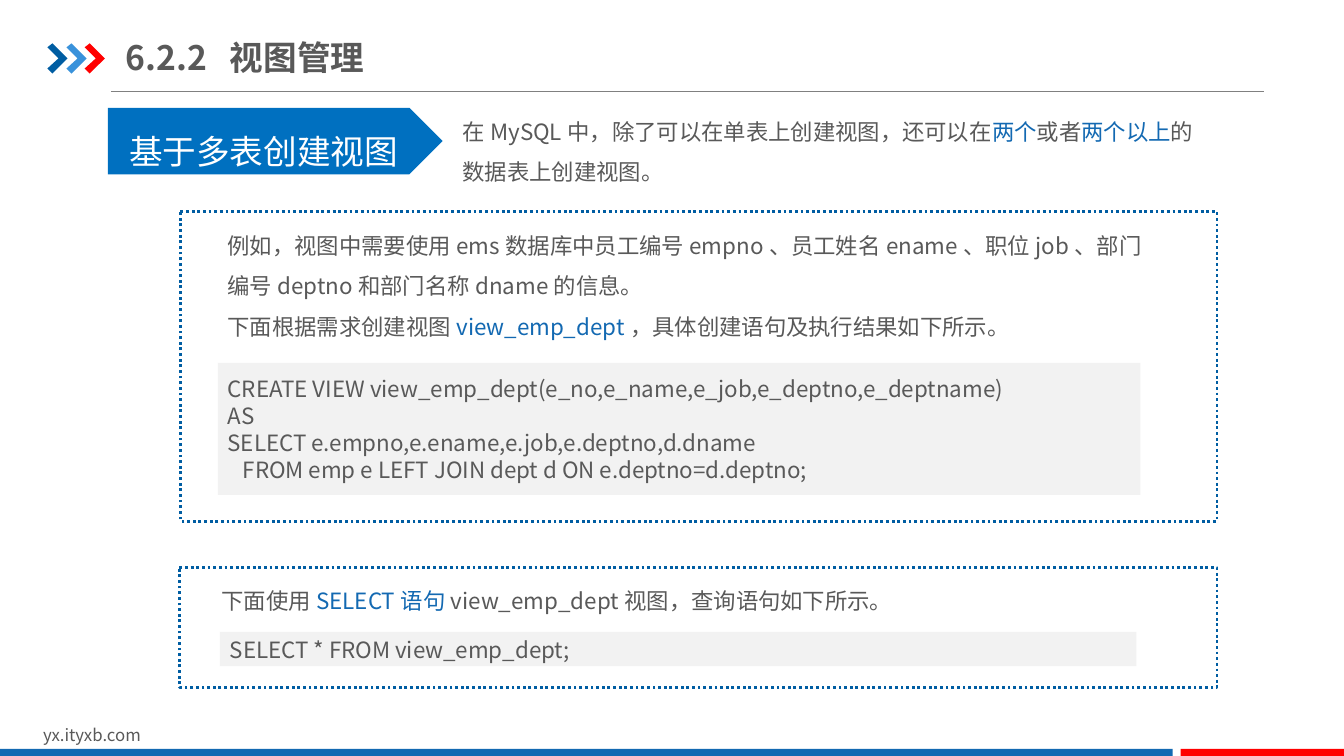
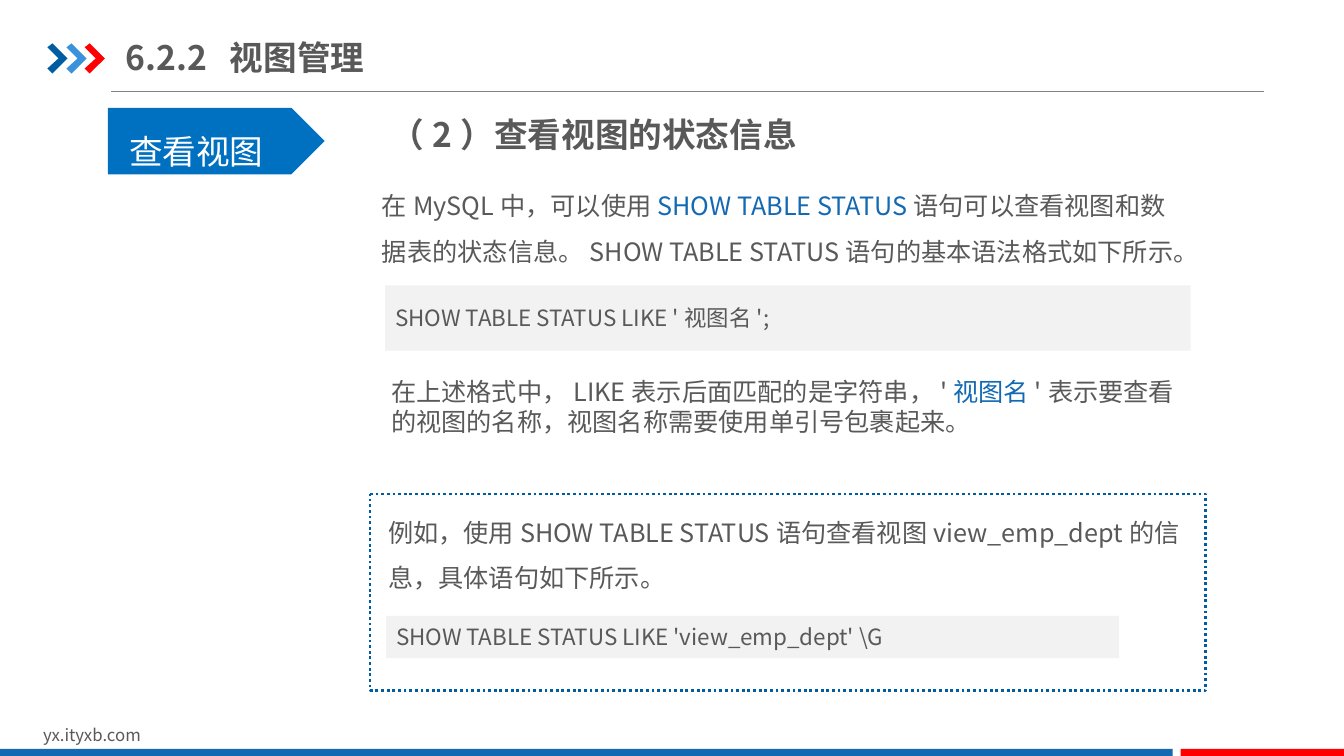
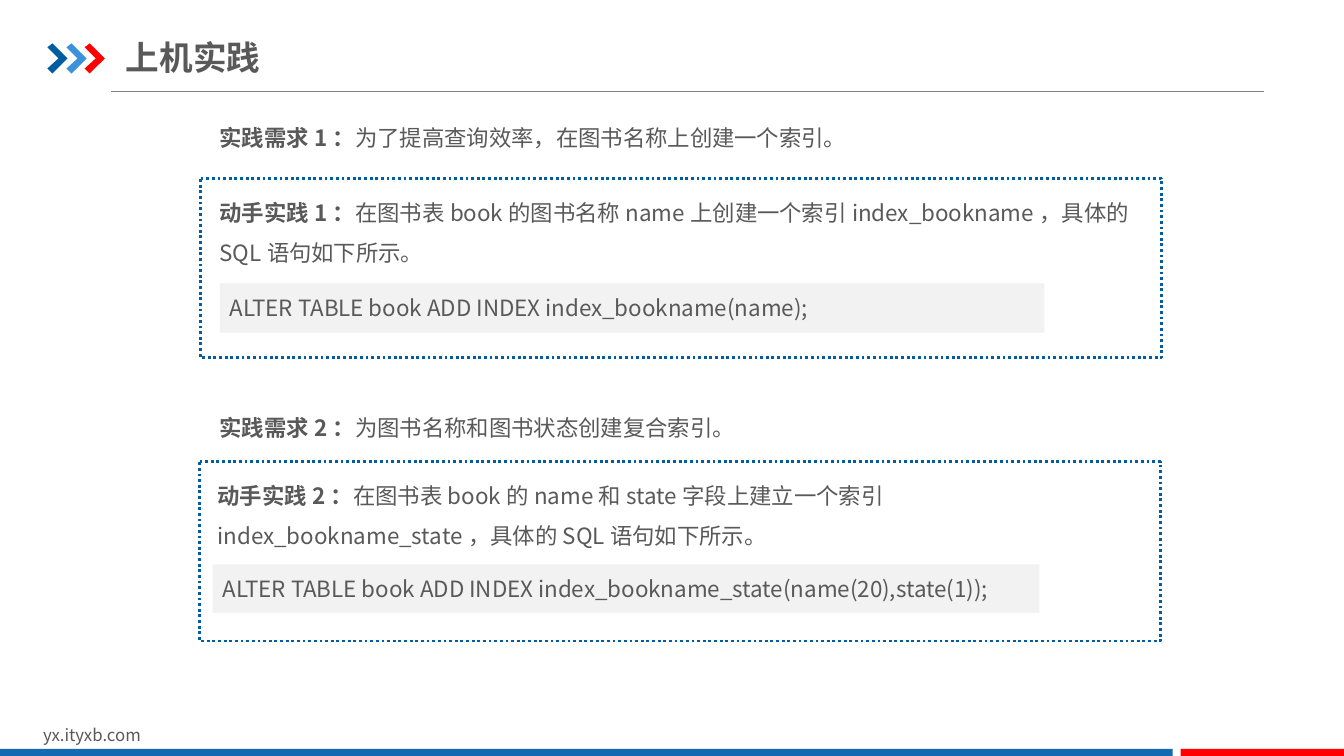
from lxml import etree
from pptx import Presentation
from pptx import util as u
from pptx.dml.color import RGBColor
from pptx.enum import dml, shapes, text
from pptx.oxml import ns

PX = 9144  # EMU per px, 100 px to the inch
FONT = "Noto Sans CJK SC"
COLOURS = {
    "text": "595959", "accent": "1369B2", "white": "FFFFFF", "code": "F2F2F2",
    "tag": "0070C0", "navy": "005DA2", "sky": "3992DB", "red": "FF0000", "rule": "808080",
}
SHAPE = shapes.MSO_SHAPE

# Shared parts
CHEVRON = [(5, 0), (20, 15), (5, 30), (0, 25), (11, 15), (0, 4)]
CHEVRONS = [(47, "navy"), (66, "sky"), (84, "red")]
CHEVRON_TOP = 43
RULE = (110, 91, 1254, 91)
BARS = [((0, 743, 1163, 9), "accent"), ((1171, 743, 163, 9), "red")]
FOOTER = ((33, 714, 318, 30), "yx.ityxb.com")
TITLE_BOX = (125, 29, 464, 55)
TITLE_TAB = 103

# Looks: shape, fill and line, frame settings, paragraph spacing, font
INSETS = {"margin_left": 10, "margin_top": 5, "margin_right": 10, "margin_bottom": 5}
TOP, MIDDLE = text.MSO_ANCHOR.TOP, text.MSO_ANCHOR.MIDDLE
LOOKS = {
    "title": {"anchor": MIDDLE, "size": 24, "bold": True,
              "insets": {"margin_left": 0, "margin_top": 7, "margin_right": 0, "margin_bottom": 7}},
    "footer": {"size": 12},
    "heading": {"size": 24, "bold": True},
    "body": {"size": 16, "spacing": 1.5},
    "large": {"size": 18, "spacing": 1.5},
    "tight": {"size": 18},
    "code": {"shape": SHAPE.RECTANGLE, "fill": "code", "anchor": MIDDLE, "size": 16},
    "tag": {"shape": SHAPE.PENTAGON, "fill": "tag", "anchor": MIDDLE, "size": 24,
            "spacing": 1.5, "colour": "white",
            "insets": {"margin_left": 21, "margin_top": 0, "margin_right": 0, "margin_bottom": 0}},
    "panel": {"shape": SHAPE.FLOWCHART_PROCESS, "fill": "white", "line": "navy"},
}
RUN_STYLES = {"accent": {"colour": "accent"}, "bold": {"bold": True}}

# Content: each part is look, box, paragraphs; a run is a string or (string, style)
SLIDES = [
    ("6.2.2\t视图管理", [
        ("panel", (179, 210, 1028, 307), []),
        ("body", (216, 212, 936, 131), [
            ["例如，视图中需要使用ems数据库中员工编号empno、员工姓名ename、职位job、"
             "部门编号deptno和部门名称dname的信息。"],
            ["下面根据需求创建视图", ("view_emp_dept", "accent"),
             "，具体创建语句及执行结果如下所示。"]]),
        ("tag", (107, 107, 332, 66), [["基于多表创建视图"]]),
        ("code", (216, 360, 915, 131), [
            ["CREATE VIEW view_emp_dept(e_no,e_name,e_job,e_deptno,e_deptname)"],
            ["AS"],
            ["SELECT e.empno,e.ename,e.job,e.deptno,d.dname"],
            ["   FROM emp e LEFT JOIN dept d ON e.deptno=d.deptno;"]]),
        ("body", (449, 99, 936, 91), [
            ["在MySQL中，除了可以在单表上创建视图，还可以在", ("两个", "accent"), "或者",
             ("两个以上", "accent"), "的"],
            ["数据表上创建视图。"]]),
        ("panel", (178, 563, 1029, 119), []),
        ("body", (210, 564, 925, 50), [
            ["下面使用", ("SELECT语句", "accent"), "view_emp_dept视图，查询语句如下所示。"]]),
        ("code", (218, 627, 909, 34), [["SELECT * FROM view_emp_dept;"]]),
    ]),
    ("6.2.2\t视图管理", [
        ("tag", (107, 107, 215, 66), [["查看视图"]]),
        ("large", (369, 169, 811, 101), [
            ["在MySQL中，可以使用", ("SHOW TABLE STATUS", "accent"),
             "语句可以查看视图和数据表的状态信息。SHOW TABLE STATUS语句的基本语法格式如下所示。"]]),
        ("heading", (378, 108, 447, 50), [["（2）查看视图的状态信息"]]),
        ("code", (382, 283, 799, 65), [["SHOW TABLE STATUS LIKE '视图名';"]]),
        ("tight", (378, 368, 808, 71), [
            ["在上述格式中，LIKE表示后面匹配的是字符串，'", ("视图名", "accent"),
             "'表示要查看的视图的名称，视图名称需要使用单引号包裹起来。"]]),
        ("panel", (367, 490, 829, 195), []),
        ("large", (375, 493, 821, 101), [
            ["例如，使用SHOW TABLE STATUS语句查看视图view_emp_dept的信息，具体语句如下所示。"]]),
        ("code", (383, 611, 727, 42), [["SHOW TABLE STATUS LIKE 'view_emp_dept' \\G"]]),
    ]),
    ("上机实践", [
        ("body", (208, 105, 1023, 50), [
            [("实践需求1：", "bold"), "为了提高查询效率，在图书名称上创建一个索引。"]]),
        ("body", (208, 393, 1023, 50), [
            [("实践需求2：", "bold"), "为图书名称和图书状态创建复合索引。"]]),
        ("panel", (199, 177, 953, 178), []),
        ("body", (208, 179, 932, 91), [
            [("动手实践1：", "bold"),
             "在图书表book的图书名称name上创建一个索引index_bookname，具体的SQL语句如下所示。"]]),
        ("code", (218, 281, 818, 49), [["ALTER TABLE book ADD INDEX index_bookname(name);"]]),
        ("panel", (198, 458, 953, 178), []),
        ("body", (206, 460, 932, 91), [
            [("动手实践2：", "bold"),
             "在图书表book的name和state字段上建立一个索引index_bookname_state，"
             "具体的SQL语句如下所示。"]]),
        ("code", (211, 560, 820, 48), [
            ["ALTER TABLE book ADD INDEX index_bookname_state(name(20),state(1));"]]),
    ]),
]


def rgb(name):
    return RGBColor.from_string(COLOURS[name])


def px(values):
    return [value * PX for value in values]


def paint(shape, fill, line=None):
    """Give a shape a flat fill and an optional dotted outline."""
    shape.shadow.inherit = False
    shape.fill.solid()
    shape.fill.fore_color.rgb = rgb(fill)
    if line:
        shape.line.color.rgb = rgb(line)
        shape.line.width = u.Pt(2)
        shape.line.dash_style = dml.MSO_LINE.ROUND_DOT
    else:
        shape.line.fill.background()


def add_run(paragraph, words, values):
    run = paragraph.add_run()
    run.text = words
    formats = {"name": FONT, "size": u.Pt(values["size"]), "bold": values.get("bold", False)}
    for name, value in formats.items():
        setattr(run.font, name, value)
    run.font.color.rgb = rgb(values.get("colour", "text"))
    east_asian = etree.SubElement(run.font._element, ns.qn("a:ea"))
    east_asian.set("typeface", FONT)


def add_tab(paragraph, position):
    tabs = etree.SubElement(paragraph._p.get_or_add_pPr(), ns.qn("a:tabLst"))
    etree.SubElement(tabs, ns.qn("a:tab"), pos=str(position * PX), algn="l")


def write(frame, paragraphs, look):
    frame.word_wrap = True
    frame.vertical_anchor = look.get("anchor", TOP)
    for name, value in look.get("insets", INSETS).items():
        setattr(frame, name, value * PX)
    for index, runs in enumerate(paragraphs):
        paragraph = frame.add_paragraph() if index else frame.paragraphs[0]
        if any("\t" in run for run in runs):
            add_tab(paragraph, TITLE_TAB)
        paragraph.alignment = text.PP_ALIGN.LEFT
        paragraph.line_spacing = look.get("spacing", 1.0)
        for run in runs:
            words, style = (run, None) if isinstance(run, str) else run
            add_run(paragraph, words, {**look, **RUN_STYLES.get(style, {})})


def add_part(slide, look_name, box, paragraphs):
    look = LOOKS[look_name]
    if "shape" in look:
        shape = slide.shapes.add_shape(look["shape"], *px(box))
        paint(shape, look["fill"], look.get("line"))
    else:
        shape = slide.shapes.add_textbox(*px(box))
    if paragraphs:
        write(shape.text_frame, paragraphs, look)


def add_frame(slide, title):
    """Draw the rule, chevrons, footer, bars and title that every slide has."""
    rule = slide.shapes.add_connector(shapes.MSO_CONNECTOR.STRAIGHT, *px(RULE))
    rule.line.color.rgb = rgb("rule")
    rule.line.width = u.Pt(0.75)
    etree.SubElement(rule._element.spPr, ns.qn("a:effectLst"))
    for left, colour in CHEVRONS:
        points = [(left + x, CHEVRON_TOP + y) for x, y in CHEVRON]
        builder = slide.shapes.build_freeform(*points[0], scale=PX)
        builder.add_line_segments(points[1:], close=True)
        paint(builder.convert_to_shape(), colour)
    add_part(slide, "footer", FOOTER[0], [[FOOTER[1]]])
    for box, colour in BARS:
        paint(slide.shapes.add_shape(SHAPE.RECTANGLE, *px(box)), colour)
    add_part(slide, "title", TITLE_BOX, [[title]])


def main():
    presentation = Presentation()
    presentation.slide_width, presentation.slide_height = u.Inches(13.33), u.Inches(7.5)
    for title, parts in SLIDES:
        slide = presentation.slides.add_slide(presentation.slide_layouts[6])
        add_frame(slide, title)
        for part in parts:
            add_part(slide, *part)
    presentation.save("out.pptx")


if __name__ == "__main__":
    main()
